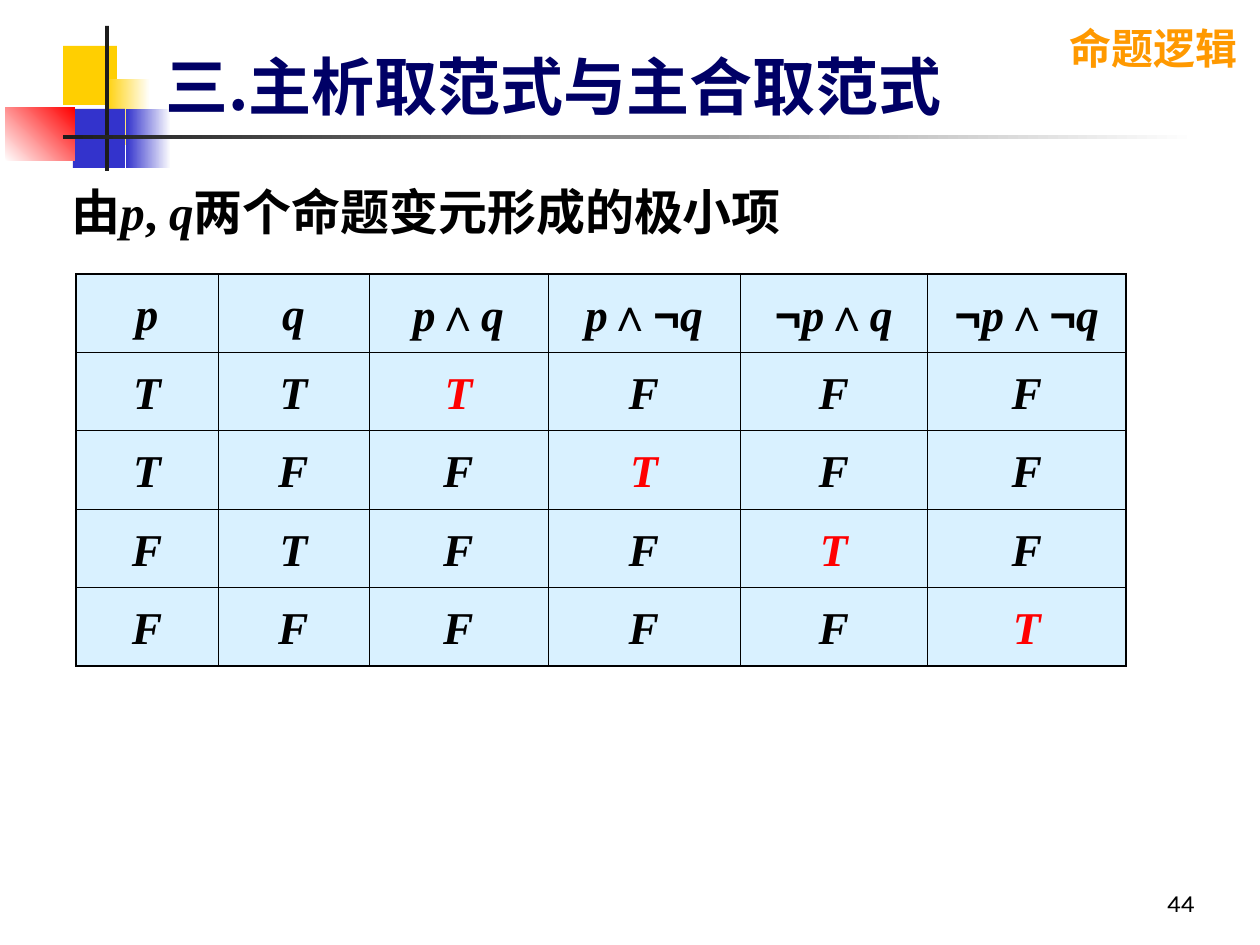
from dataclasses import dataclass
from itertools import groupby, product

from lxml.etree import SubElement
from pptx import Presentation
from pptx.dml.color import RGBColor
from pptx.enum.shapes import MSO_SHAPE
from pptx.enum.text import MSO_ANCHOR, MSO_AUTO_SIZE, PP_ALIGN
from pptx.oxml.ns import qn
from pptx.util import Pt

SCALE = 914400 / 126


def emu(px):
    return round(px * SCALE)


@dataclass(frozen=True)
class Theme:
    # Colours
    black: str = "000000"
    white: str = "FFFFFF"
    dark: str = "1C1C1C"
    navy: str = "000066"
    gold: str = "FFCF01"
    blue: str = "3333CC"
    red: str = "FF0000"
    orange: str = "FF9900"
    pale: str = "D9F1FF"
    # Fonts
    serif: str = "Times New Roman"
    sans: str = "Arial"
    label: str = "Karla"
    han: str = "Noto Sans CJK SC"
    # Type sizes and line widths in points
    title: int = 36
    lead: int = 28
    cell: int = 26
    tag: int = 24
    page: int = 14
    outer: float = 1.08
    inner: float = 0.45


def write(frame, text, *, font, size, color, bold=True, slant="",
          other=None, han=None, align=None, line=None, before=None):
    """Set one paragraph; letters in slant are italic, the rest may use other."""
    para = frame.paragraphs[0]
    if align is not None:
        para.alignment = align
    if line:
        para.line_spacing = line
    if before:
        para.space_before = Pt(before)
    for ital, chars in groupby(text, lambda char: char in slant):
        run = para.add_run()
        run.text = "".join(chars)
        face = run.font
        face.name = font if ital else other or font
        face.size = Pt(size)
        face.bold = bold
        face.italic = ital
        face.color.rgb = RGBColor.from_string(color)
        if han:
            SubElement(run._r.get_or_add_rPr(), qn("a:ea"), typeface=han)


class Deck:
    def __init__(self, theme):
        self.theme = theme
        self.file = Presentation()
        self.file.slide_width = emu(1260)
        self.file.slide_height = emu(945)
        self.slide = self.file.slides.add_slide(self.file.slide_layouts[6])

    def block(self, box, color, fade=None, angle=0):
        shape = self.slide.shapes.add_shape(MSO_SHAPE.RECTANGLE, *map(emu, box))
        shape.shadow.inherit = False
        shape.line.fill.background()
        if fade is None:
            shape.fill.solid()
            shape.fill.fore_color.rgb = RGBColor.from_string(color)
            return
        shape.fill.gradient()
        shape.fill.gradient_angle = angle
        for stop, tone in zip(shape.fill.gradient_stops, (color, fade)):
            stop.color.rgb = RGBColor.from_string(tone)

    def text(self, box, words, anchor=MSO_ANCHOR.TOP, grow=False, **style):
        frame = self.slide.shapes.add_textbox(*map(emu, box)).text_frame
        frame.word_wrap = not grow
        if grow:
            frame.auto_size = MSO_AUTO_SIZE.SHAPE_TO_FIT_TEXT
        frame.vertical_anchor = anchor
        write(frame, words, **style)

    def edge(self, cell, side, width):
        line = SubElement(cell._tc.get_or_add_tcPr(), qn(f"a:ln{side}"),
                          w=str(Pt(width)))
        fill = SubElement(line, qn("a:solidFill"))
        SubElement(fill, qn("a:srgbClr"), val=self.theme.black)

    def table(self, left, top, widths, height, rows, marks):
        look = self.theme
        grid = self.slide.shapes.add_table(
            len(rows), len(widths), emu(left), emu(top),
            emu(sum(widths)), emu(height)).table
        grid.first_row = grid.horz_banding = False
        for col, width in zip(grid.columns, widths):
            col.width = emu(width)
        for r, row in enumerate(rows):
            for c, words in enumerate(row):
                cell = grid.cell(r, c)
                rims = {"L": c == 0, "R": c == len(widths) - 1,
                        "T": r == 0, "B": r == len(rows) - 1}
                for side, rim in rims.items():
                    self.edge(cell, side, look.outer if rim else look.inner)
                cell.fill.solid()
                cell.fill.fore_color.rgb = RGBColor.from_string(look.pale)
                write(cell.text_frame, words, font=look.serif, other=look.sans,
                      size=look.cell, slant="pqTF",
                      color=look.red if (r, c) in marks else look.black,
                      align=PP_ALIGN.CENTER, line=1.2, before=6.5)

    def save(self):
        self.file.save("out.pptx")


def main():
    look = Theme()
    deck = Deck(look)

    # Corner blocks and rules
    deck.block((63, 46, 54, 59), look.gold)
    deck.block((105, 79, 45, 66), look.gold, look.white)
    deck.block((73, 109, 52, 59), look.blue)
    deck.block((126, 109, 45, 59), look.blue, look.white)
    deck.block((5, 108, 70, 53), look.white, look.red, angle=45)
    deck.block((105, 26, 4, 145), look.dark)
    deck.block((63, 135, 1134, 4), look.dark, look.white)

    # Headings
    deck.text((1057, 16, 193, 63), "命题逻辑", grow=True, font=look.label,
              han=look.han, size=look.tag, color=look.orange)
    deck.text((153, 26, 1042, 103), "三.主析取范式与主合取范式",
              anchor=MSO_ANCHOR.BOTTOM, font=look.han, han=look.han,
              size=look.title, color=look.navy)

    # Truth table: each minterm holds in exactly one row
    head = ["p", "q", "p∧q", "p∧¬q", "¬p∧q", "¬p∧¬q"]
    body = [[*pair, *("T" if k == n else "F" for k in range(4))]
            for n, pair in enumerate(product("TF", repeat=2))]
    marks = {(n + 1, n + 2) for n in range(4)}
    deck.table(76, 274, (142, 151, 179, 192, 188, 198), 392,
               [head, *body], marks)

    # Lead line, with room to stay on one line, and page number
    deck.text((59, 175, 790, 72), "由p, q两个命题变元形成的极小项",
              font=look.serif, han=look.han, size=look.lead,
              color=look.black, slant="pq")
    deck.text((945, 861, 262, 63), "44", anchor=MSO_ANCHOR.BOTTOM,
              font=look.label, size=look.page, color=look.black, bold=False,
              align=PP_ALIGN.RIGHT)
    deck.save()


if __name__ == "__main__":
    main()
